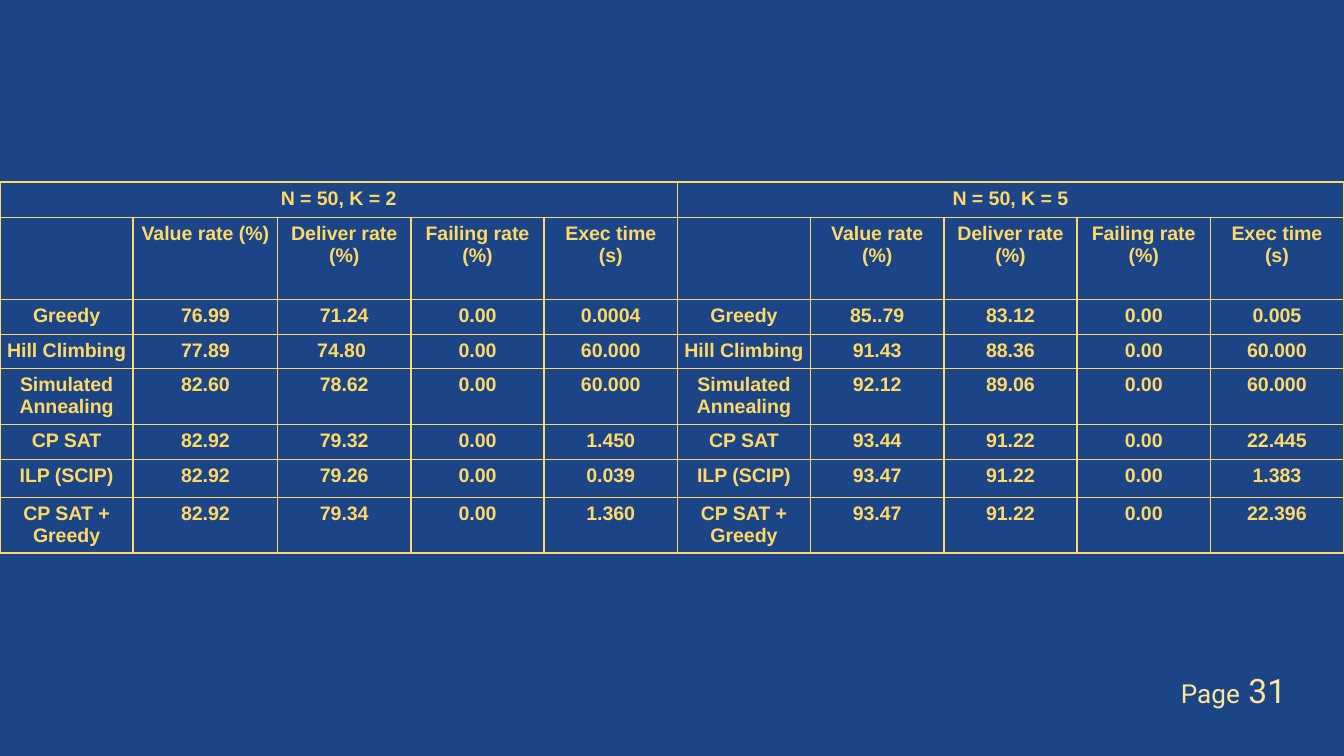
from lxml.etree import SubElement
from pptx import Presentation
from pptx.dml.color import RGBColor
from pptx.enum.text import PP_ALIGN
from pptx.oxml.ns import qn
from pptx.util import Pt

# Content: each half of the table has a heading, column titles and method rows
METHODS = ["Greedy", "Hill Climbing", "Simulated Annealing",
           "CP SAT", "ILP (SCIP)", "CP SAT + Greedy"]
TITLES = ["", "Value rate (%)", "Deliver rate (%)", "Failing rate (%)", "Exec time (s)"]
HALVES = [
    ("N = 50, K = 2", [
        ("76.99", "71.24", "0.00", "0.0004"),
        ("77.89", "74.80 ", "0.00", "60.000"),
        ("82.60", "78.62", "0.00", "60.000"),
        ("82.92", "79.32", "0.00", "1.450"),
        ("82.92", "79.26", "0.00", "0.039"),
        ("82.92", "79.34", "0.00", "1.360"),
    ]),
    ("N = 50, K = 5", [
        ("85..79", "83.12", "0.00", "0.005"),
        ("91.43", "88.36", "0.00", "60.000"),
        ("92.12", "89.06", "0.00", "60.000"),
        ("93.44", "91.22", "0.00", "22.445"),
        ("93.47", "91.22", "0.00", "1.383"),
        ("93.47", "91.22", "0.00", "22.396"),
    ]),
]
PAGE_RUNS = [("Page", 14), (" 31", 18)]

# Layout and colours
BLUE, GOLD, PALE_GOLD = "1C4587", "FFD966", "FFE599"
WIDTH, HEIGHT = 720, 405
TABLE_TOP = 97.5
ROW_HEIGHTS = [19, 44, 18.75, 18.25, 30, 18.75, 20.25, 29.75]
COLUMN_WIDTHS = [71.4] * 10
COLUMN_WIDTHS[1] = WIDTH - 9 * 71.4


def color(value):
    return RGBColor.from_string(value)


def style_font(font, name, size, value, bold=False):
    font.name, font.size, font.bold = name, Pt(size), bold
    font.color.rgb = color(value)


def add_borders(cell, value, width):
    properties = cell._tc.get_or_add_tcPr()
    for side in ("a:lnL", "a:lnR", "a:lnT", "a:lnB"):
        line = SubElement(properties, qn(side), w=str(Pt(width)))
        fill = SubElement(line, qn("a:solidFill"))
        SubElement(fill, qn("a:srgbClr"), val=value)


def fill_cell(cell, text):
    cell.margin_left = cell.margin_right = Pt(3.6)
    cell.margin_top = cell.margin_bottom = Pt(3)
    add_borders(cell, GOLD, 1)
    cell.fill.background()
    cell.text = text
    for paragraph in cell.text_frame.paragraphs:
        paragraph.alignment = PP_ALIGN.CENTER
        style_font(paragraph.font, "Arial", 10.5, GOLD, bold=True)


presentation = Presentation()
presentation.slide_width, presentation.slide_height = Pt(WIDTH), Pt(HEIGHT)
slide = presentation.slides.add_slide(presentation.slide_layouts[6])
slide.background.fill.solid()
slide.background.fill.fore_color.rgb = color(BLUE)

# Results table
table = slide.shapes.add_table(len(ROW_HEIGHTS), len(COLUMN_WIDTHS), 0, Pt(TABLE_TOP),
                               Pt(WIDTH), Pt(sum(ROW_HEIGHTS))).table
table.first_row = table.horz_banding = False
for row, height in zip(table.rows, ROW_HEIGHTS):
    row.height = Pt(height)
for column, width in zip(table.columns, COLUMN_WIDTHS):
    column.width = Pt(width)

for half, (heading, results) in enumerate(HALVES):
    first = half * len(TITLES)
    rows = [[heading] + [""] * (len(TITLES) - 1), TITLES]
    rows += [[method, *values] for method, values in zip(METHODS, results)]
    for row_index, texts in enumerate(rows):
        for offset, text in enumerate(texts):
            fill_cell(table.cell(row_index, first + offset), text)
    table.cell(0, first).merge(table.cell(0, first + len(TITLES) - 1))

# Page number
page_box = slide.shapes.add_textbox(Pt(625.5), Pt(355.5), Pt(78.5), Pt(29.5))
page_box.text_frame.word_wrap = True
paragraph = page_box.text_frame.paragraphs[0]
for text, size in PAGE_RUNS:
    run = paragraph.add_run()
    run.text = text
    style_font(run.font, "Roboto", size, PALE_GOLD)

presentation.save("out.pptx")
